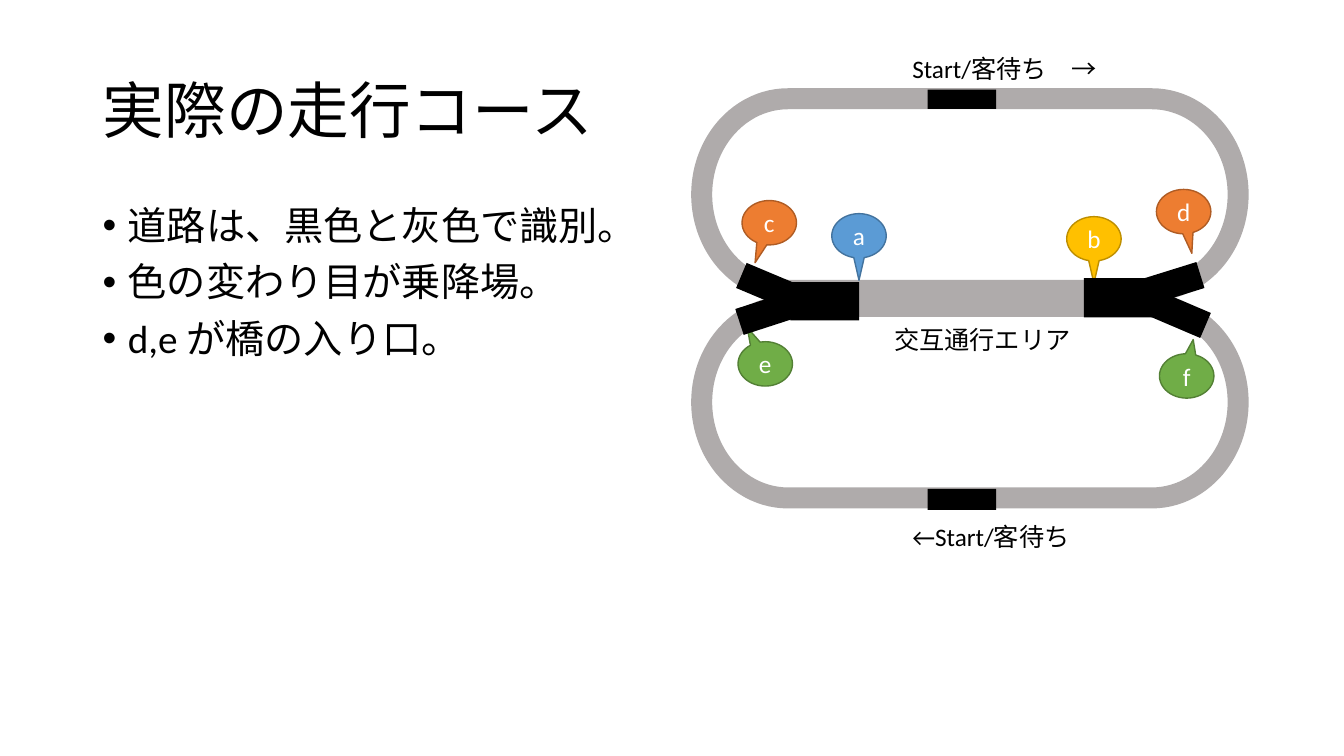
from dataclasses import dataclass
from lxml.etree import SubElement as Sub
from pptx import Presentation
from pptx.dml.color import RGBColor as Rgb
from pptx.enum.shapes import MSO_SHAPE as Kind
from pptx.enum.text import MSO_ANCHOR as Anchor, MSO_AUTO_SIZE as Auto, PP_ALIGN as Align
from pptx.oxml.ns import qn
from pptx.util import Emu, Pt

PX = 9144


@dataclass(frozen=True)
class Theme:
    font: str = "Calibri"
    head: int = 44
    body: int = 28
    note: int = 18
    black: str = "000000"
    white: str = "FFFFFF"
    road: str = "AFABAB"
    orange: tuple = ("ED7D31", "AF5C24")
    blue: tuple = ("5B9BD5", "43739E")
    gold: tuple = ("FFC000", "BD8E00")
    green: tuple = ("70AD47", "538035")


LOOK = Theme()


def box(*nums):
    return [Emu(n * PX) for n in nums]


def write(frame, *lines, size=LOOK.note, color=LOOK.black, align=Align.LEFT,
          anchor=Anchor.TOP, space=1.0, before=0, bullet=False):
    frame.word_wrap = True
    frame.vertical_anchor = anchor
    for i, line in enumerate(lines):
        para = frame.add_paragraph() if i else frame.paragraphs[0]
        para.alignment = align
        para.line_spacing = space
        para.space_before = Pt(before)
        if bullet:
            props = para._p.get_or_add_pPr()
            props.set("marL", str(25 * PX))
            props.set("indent", str(-25 * PX))
            Sub(props, qn("a:buFont"), typeface="Arial")
            Sub(props, qn("a:buChar"), char="•")
        run = para.add_run()
        run.text = line
        run.font.name = LOOK.font
        run.font.size = Pt(size)
        run.font.color.rgb = Rgb.from_string(color)


def label(slide, place, *lines, **style):
    frame = slide.shapes.add_textbox(*box(*place)).text_frame
    write(frame, *lines, **style)
    return frame


def shape(slide, kind, place, fill=None, line=None, width=1, turn=0):
    item = slide.shapes.add_shape(kind, *box(*place))
    item.shadow.inherit = False
    item.rotation = turn
    if fill:
        item.fill.solid()
        item.fill.fore_color.rgb = Rgb.from_string(fill)
    else:
        item.fill.background()
    if line:
        item.line.color.rgb = Rgb.from_string(line)
        item.line.width = Pt(width)
    else:
        item.line.fill.background()
    return item


def track(slide, top):
    shape(slide, Kind.FLOWCHART_TERMINATOR, (696, top, 532, 190),
          line=LOOK.road, width=15)


def pin(slide, name, left, top, tip, tone):
    fill, line = tone
    item = shape(slide, Kind.OVAL_CALLOUT, (left, top, 54, 44), fill, line)
    for i, part in enumerate(tip):
        item.adjustments[i] = part
    write(item.text_frame, name, color=LOOK.white, align=Align.CENTER,
          anchor=Anchor.MIDDLE)


def main():
    deck = Presentation()
    deck.slide_width, deck.slide_height = box(1333, 750)
    slide = deck.slides.add_slide(deck.slide_layouts[5])

    track(slide, 304)
    title = slide.shapes.title
    title.left, title.top, title.width, title.height = box(92, 40, 1150, 145)
    write(title.text_frame, "実際の走行コース", size=LOOK.head,
          anchor=Anchor.MIDDLE, space=0.9)
    label(slide, (92, 200, 1150, 476), "道路は、黒色と灰色で識別。",
          "色の変わり目が乗降場。", "d,e が橋の入り口。",
          size=LOOK.body, space=0.9, before=10, bullet=True)
    track(slide, 98)

    for name, left, top, tip, tone in (
        ("c", 736, 199, (-0.26, 0.9), LOOK.orange),
        ("a", 825, 212, (0, 1), LOOK.blue),
        ("b", 1058, 215, (0, 1), LOOK.gold),
        ("d", 1147, 188, (0.15, 0.94), LOOK.orange),
        ("e", 732, 339, (-0.33, -0.82), LOOK.green),
        ("f", 1150, 351, (0.12, -0.82), LOOK.green),
    ):
        pin(slide, name, left, top, tip, tone)

    for place, turn in (
        ((784, 280, 68, 38), 0),
        ((733, 271, 58, 27), 22.8),
        ((732, 297, 58, 27), 342),
        ((1075, 276, 68, 39), 0),
        ((1140, 298, 58, 27), 23.1),
        ((1134, 268, 58, 27), 342.7),
        ((920, 89, 68, 19), 0),
        ((920, 485, 68, 21), 0),
    ):
        shape(slide, Kind.RECTANGLE, place, LOOK.black, turn=turn)

    for text, left, top, width in (
        ("交互通行エリア", 877, 317, 242),
        ("Start/客待ち　→", 895, 48, 237),
        ("←Start/客待ち", 895, 512, 237),
    ):
        frame = label(slide, (left, top, width, 40), text)
        frame.auto_size = Auto.SHAPE_TO_FIT_TEXT

    deck.save("out.pptx")


if __name__ == "__main__":
    main()
